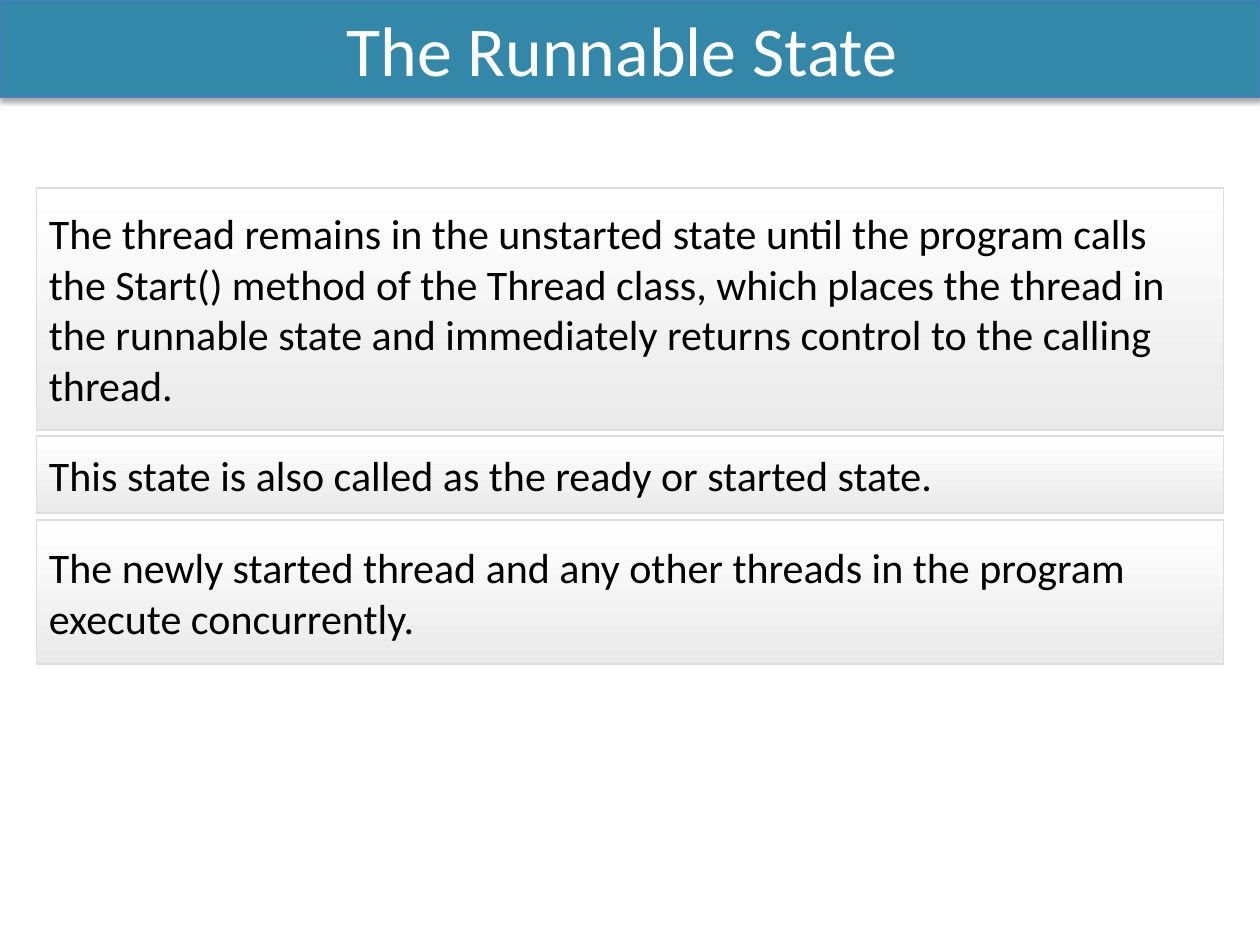
from lxml import etree
from pptx import Presentation
from pptx.dml.color import RGBColor as Color
from pptx.enum.shapes import MSO_SHAPE as Shape
from pptx.enum.text import MSO_ANCHOR as Anchor, MSO_AUTO_SIZE as AutoSize, PP_ALIGN as Align
from pptx.oxml.ns import qn
from pptx.util import Pt

COLORS = {
    "banner": "3388A9",
    "banner_line": "4B7EBC",
    "title": "FFFFFF",
    "panel_top": "FFFFFF",
    "panel_bottom": "EAEAEA",
    "panel_line": "DDDDDD",
    "text": "000000",
    "shadow": "000000",
}
TITLE = "The Runnable State "
# Top, height and wording of each panel
PANELS = [
    (107.28, 138.24, "The thread remains in the unstarted state until the program calls the "
                     "Start() method of the Thread class, which places the thread in the runnable "
                     "state and immediately returns control to the calling thread."),
    (249.12, 43.92, "This state is also called as the ready or started state."),
    (297.36, 82.08, "The newly started thread and any other threads in the program "
                    "execute concurrently."),
]


def color(name):
    return Color.from_string(COLORS[name])


def write(shape, text, size, ink, align=Align.LEFT, font="Calibri"):
    frame = shape.text_frame
    frame.word_wrap = True
    frame.auto_size = AutoSize.NONE
    frame.vertical_anchor = Anchor.MIDDLE
    para = frame.paragraphs[0]
    para.alignment = align
    span = para.add_run()
    span.text = text
    span.font.name = font
    span.font.size = Pt(size)
    span.font.color.rgb = color(ink)


def outline(shape, ink, width):
    shape.line.color.rgb = color(ink)
    shape.line.width = Pt(width)


def add_soft_shadow(shape, blur, distance, opacity):
    """Cast a shadow straight down; opacity is in percent."""
    shape.shadow.inherit = False
    effects = shape.element.spPr.find(qn("a:effectLst"))
    shadow = etree.SubElement(effects, qn("a:outerShdw"), blurRad=str(Pt(blur)),
                              dist=str(Pt(distance)), dir="5400000", rotWithShape="0")
    ink = etree.SubElement(shadow, qn("a:srgbClr"), val=COLORS["shadow"])
    etree.SubElement(ink, qn("a:alpha"), val=str(opacity * 1000))


def place_banner(page, left, top, width, height):
    banner = page.shapes.title
    banner.left, banner.top = Pt(left), Pt(top)
    banner.width, banner.height = Pt(width), Pt(height)
    banner.fill.solid()
    banner.fill.fore_color.rgb = color("banner")
    outline(banner, "banner_line", 0.75)
    add_soft_shadow(banner, blur=3.1, distance=1.8, opacity=35)
    write(banner, TITLE, size=40, ink="title", align=Align.CENTER)


def place_panel(page, left, top, width, height, text):
    panel = page.shapes.add_shape(Shape.RECTANGLE, Pt(left), Pt(top), Pt(width), Pt(height))
    panel.shadow.inherit = False
    panel.fill.gradient()
    panel.fill.gradient_angle = 270
    for stop, ink in zip(panel.fill.gradient_stops, ("panel_top", "panel_bottom")):
        stop.color.rgb = color(ink)
    outline(panel, "panel_line", 1)
    write(panel, text, size=24, ink="text")


def main():
    deck = Presentation()
    deck.slide_width, deck.slide_height = Pt(720), Pt(540)
    page = deck.slides.add_slide(deck.slide_layouts.get_by_name("Title Only"))
    place_banner(page, 0, 0, 720, 55.44)
    for top, height, text in PANELS:
        place_panel(page, 20.88, top, 678.24, height, text)
    deck.save("out.pptx")


if __name__ == "__main__":
    main()
